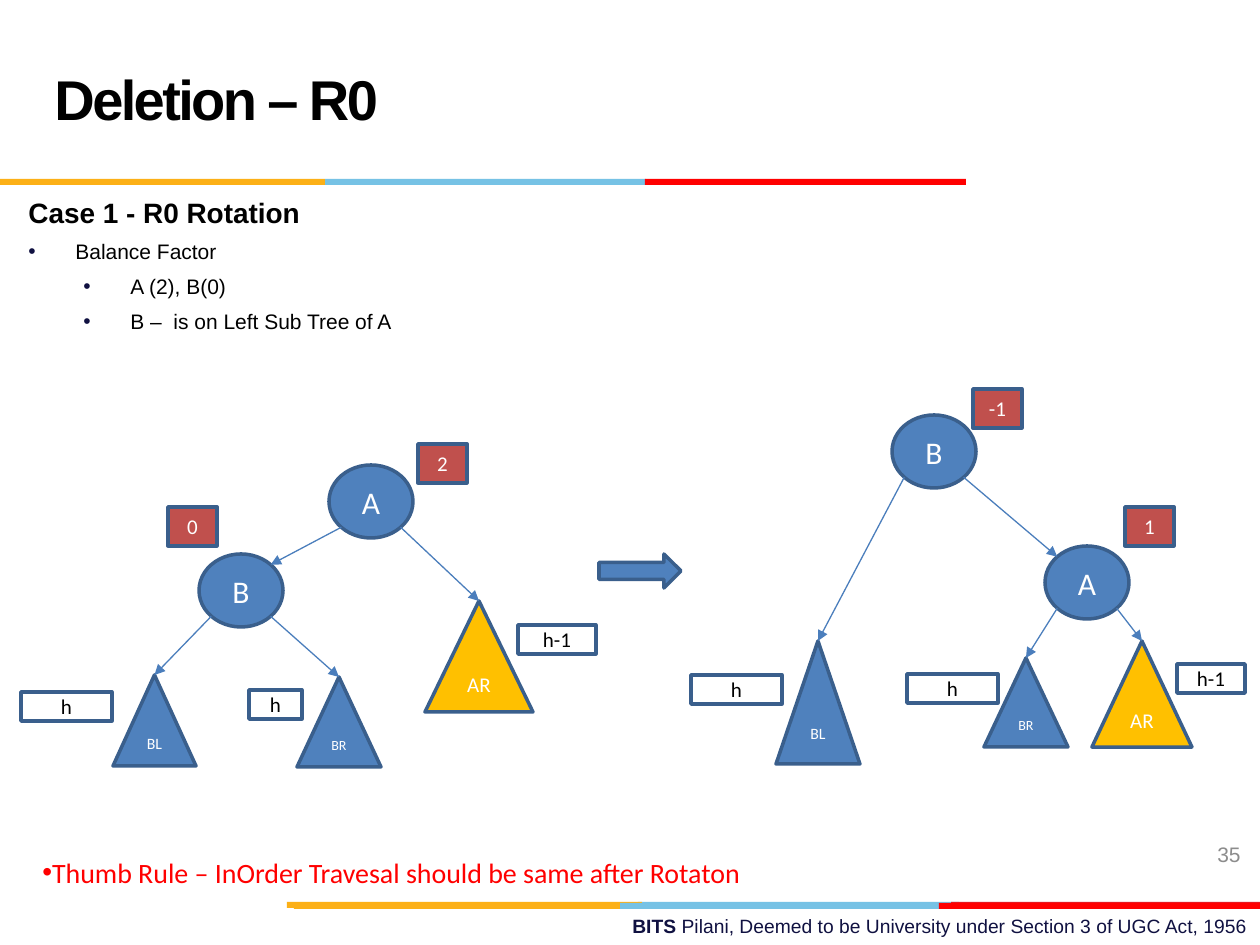
from dataclasses import dataclass
from math import sqrt

from lxml import etree
from pptx import Presentation
from pptx.dml.color import RGBColor
from pptx.enum.shapes import MSO_CONNECTOR, MSO_SHAPE
from pptx.enum.text import MSO_ANCHOR, PP_ALIGN
from pptx.oxml.ns import qn
from pptx.util import Emu, Pt

OVAL = MSO_SHAPE.FLOWCHART_CONNECTOR
TRI = MSO_SHAPE.ISOSCELES_TRIANGLE
RECT = MSO_SHAPE.RECTANGLE
ARROW = MSO_SHAPE.RIGHT_ARROW
LINE = MSO_CONNECTOR.STRAIGHT
MID, TOP = MSO_ANCHOR.MIDDLE, MSO_ANCHOR.TOP
LEFT, CENTER, RIGHT = PP_ALIGN.LEFT, PP_ALIGN.CENTER, PP_ALIGN.RIGHT

DPI = 126
BLUE, EDGE, WIRE = "4F81BD", "3A5F8C", "4B7EBC"
GOLD, BRICK = "FFC000", "C0504D"
WHITE, BLACK, RED, NAVY, GRAY = "FFFFFF", "000000", "FF0000", "101141", "8C8C8C"
AMBER, SKY, CRIMSON = "FCB017", "76C2E5", "E31C24"


@dataclass
class Box:
    kind: int
    x: int
    y: int
    w: int
    h: int
    fill: str
    text: str = ""
    size: int = 12
    ink: str = WHITE


@dataclass
class Edge:
    """A link from a node to its child; side is -1 for left, 1 for right."""
    start: Box
    end: Box
    side: int


@dataclass
class Stripe:
    y: int
    bars: list[tuple[int, int, str]]


@dataclass
class Item:
    text: str
    left: int
    size: int = 12
    bold: bool = False
    bullet: bool = True


def px(n: float) -> Emu:
    return Emu(round(n * 914400 / DPI))


def rgb(code: str) -> RGBColor:
    return RGBColor.from_string(code)


def style(par, size: int, color: str, face: str = "Arial",
          bold: bool = False, align=LEFT) -> None:
    par.alignment = align
    font = par.font
    font.size, font.name, font.bold = Pt(size), face, bold
    font.color.rgb = rgb(color)


def mark(par, color: str, left: int = 0, hang: int = 0) -> None:
    """Give the paragraph a round bullet."""
    props = par._p.get_or_add_pPr()
    props.set("marL", str(px(left)))
    props.set("indent", str(-px(hang)))
    tint = etree.SubElement(props, qn("a:buClr"))
    etree.SubElement(tint, qn("a:srgbClr")).set("val", color)
    etree.SubElement(props, qn("a:buFont")).set("typeface", "Arial")
    etree.SubElement(props, qn("a:buChar")).set("char", "•")


def frame(slide, x: int, y: int, w: int, h: int, anchor=TOP):
    text = slide.shapes.add_textbox(px(x), px(y), px(w), px(h)).text_frame
    text.word_wrap = True
    text.vertical_anchor = anchor
    return text


def draw(slide, box: Box, line: bool = True):
    shape = slide.shapes.add_shape(
        box.kind, px(box.x), px(box.y), px(box.w), px(box.h))
    shape.shadow.inherit = False
    shape.fill.solid()
    shape.fill.fore_color.rgb = rgb(box.fill)
    if line:
        shape.line.color.rgb = rgb(EDGE)
        shape.line.width = Pt(2)
    else:
        shape.line.fill.background()
    if box.text:
        text = shape.text_frame
        text.margin_left = text.margin_right = 0
        text.margin_top = text.margin_bottom = 0
        text.vertical_anchor = MID
        par = text.paragraphs[0]
        par.text = box.text
        style(par, box.size, box.ink, "Calibri", align=CENTER)
    return shape


def rim(box: Box, dx: int, dy: int) -> tuple[Emu, Emu]:
    """Point on an oval's edge along one of its four diagonals."""
    reach = 1 / sqrt(2)
    return (px(box.x + box.w / 2 * (1 + dx * reach)),
            px(box.y + box.h / 2 * (1 + dy * reach)))


def link(slide, edge: Edge, goal) -> None:
    start = rim(edge.start, edge.side, 1)
    end = rim(edge.end, -edge.side, -1)
    wire = slide.shapes.add_connector(LINE, *start, *end)
    if edge.end.kind == TRI:
        wire.end_connect(goal, 0)
    wire.line.color.rgb = rgb(WIRE)
    wire.line.width = Pt(0.75)
    props = wire._element.spPr
    etree.SubElement(props.find(qn("a:ln")), qn("a:tailEnd")).set("type", "triangle")
    etree.SubElement(props, qn("a:effectLst"))


def tree(slide, edges: list[Edge]) -> None:
    """Draw the root, every child, and the links; the first edge holds the root."""
    draw(slide, edges[0].start)
    for edge in edges:
        link(slide, edge, draw(slide, edge.end))


def node(x: int, y: int, text: str) -> Box:
    return Box(OVAL, x, y, 84, 73, BLUE, text, 18)


def badge(x: int, y: int, text: str) -> Box:
    return Box(RECT, x, y, 49, 39, BRICK, text)


def label(x: int, y: int, w: int, text: str) -> Box:
    return Box(RECT, x, y, w, 29, WHITE, text, ink=BLACK)


STRIPES = [
    Stripe(902, [(638, 321, SKY), (951, 309, CRIMSON), (287, 355, AMBER)]),
    Stripe(903, [(620, 321, SKY), (294, 326, AMBER), (939, 321, RED)]),
    Stripe(179, [(325, 321, SKY), (0, 325, AMBER), (645, 321, RED)]),
]
ITEMS = [
    Item("Case 1 - R0 Rotation", 0, 16, True, False),
    Item("Balance Factor", 47),
    Item("A (2), B(0)", 102),
    Item("B –  is on Left Sub Tree of A", 102),
]
OLD_A, OLD_B = node(329, 465, "A"), node(199, 554, "B")
NEW_B, NEW_A = node(892, 415, "B"), node(1045, 546, "A")
BEFORE = [
    Edge(OLD_A, Box(TRI, 425, 601, 108, 111, GOLD, "AR"), 1),
    Edge(OLD_A, OLD_B, -1),
    Edge(OLD_B, Box(TRI, 113, 675, 83, 91, BLUE, "BL", 9), -1),
    Edge(OLD_B, Box(TRI, 297, 677, 84, 90, BLUE, "BR", 8), 1),
]
AFTER = [
    Edge(NEW_B, NEW_A, 1),
    Edge(NEW_B, Box(TRI, 776, 641, 84, 123, BLUE, "BL", 9), -1),
    Edge(NEW_A, Box(TRI, 984, 658, 84, 89, BLUE, "BR", 8), -1),
    Edge(NEW_A, Box(TRI, 1092, 641, 100, 106, GOLD, "AR"), 1),
]
TAGS = [
    label(21, 692, 91, "h"), label(249, 690, 53, "h"),
    label(691, 675, 91, "h"), label(907, 674, 91, "h"),
    Box(ARROW, 599, 554, 82, 34, BLUE),
    label(518, 625, 78, "h-1"), label(1177, 664, 68, "h-1"),
    badge(418, 444, "2"), badge(168, 507, "0"),
    badge(973, 389, "-1"), badge(1125, 507, "1"),
]


def words(slide) -> None:
    par = frame(slide, 451, 908, 809, 37).paragraphs[0]
    style(par, 11, NAVY, align=RIGHT)
    lead = par.add_run()
    lead.text, lead.font.bold = "BITS ", True
    par.add_run().text = "Pilani, Deemed to be University under Section 3 of UGC Act, 1956"

    par = frame(slide, 42, 21, 903, 158, MID).paragraphs[0]
    par.text = "Deletion – R0"
    par.line_spacing = Pt(36)
    style(par, 32, BLACK, bold=True)
    par.runs[0]._r.get_or_add_rPr().set("spc", "-150")

    par = frame(slide, 959, 829, 294, 50, MID).paragraphs[0]
    par.text = "35"
    style(par, 12, GRAY, align=RIGHT)

    text = frame(slide, 16, 189, 698, 184)
    for i, item in enumerate(ITEMS):
        par = text.add_paragraph() if i else text.paragraphs[0]
        par.text = item.text
        if item.bullet:
            mark(par, NAVY, item.left, 47)
            par.line_spacing = 1.2
            par.space_before = Pt(2.8)
        style(par, item.size, BLACK, bold=item.bold)

    par = frame(slide, 30, 849, 852, 47).paragraphs[0]
    par.text = "Thumb Rule – InOrder Travesal should be same after Rotaton"
    mark(par, RED)
    style(par, 16, RED, "Calibri")


def main() -> None:
    deck = Presentation()
    deck.slide_width, deck.slide_height = px(1260), px(945)
    slide = deck.slides.add_slide(deck.slide_layouts[6])
    for row in STRIPES:
        for x, w, fill in row.bars:
            draw(slide, Box(RECT, x, row.y, w, 6, fill), line=False)
    words(slide)
    tree(slide, BEFORE)
    tree(slide, AFTER)
    for tag in TAGS:
        draw(slide, tag)
    deck.save("out.pptx")


if __name__ == "__main__":
    main()
